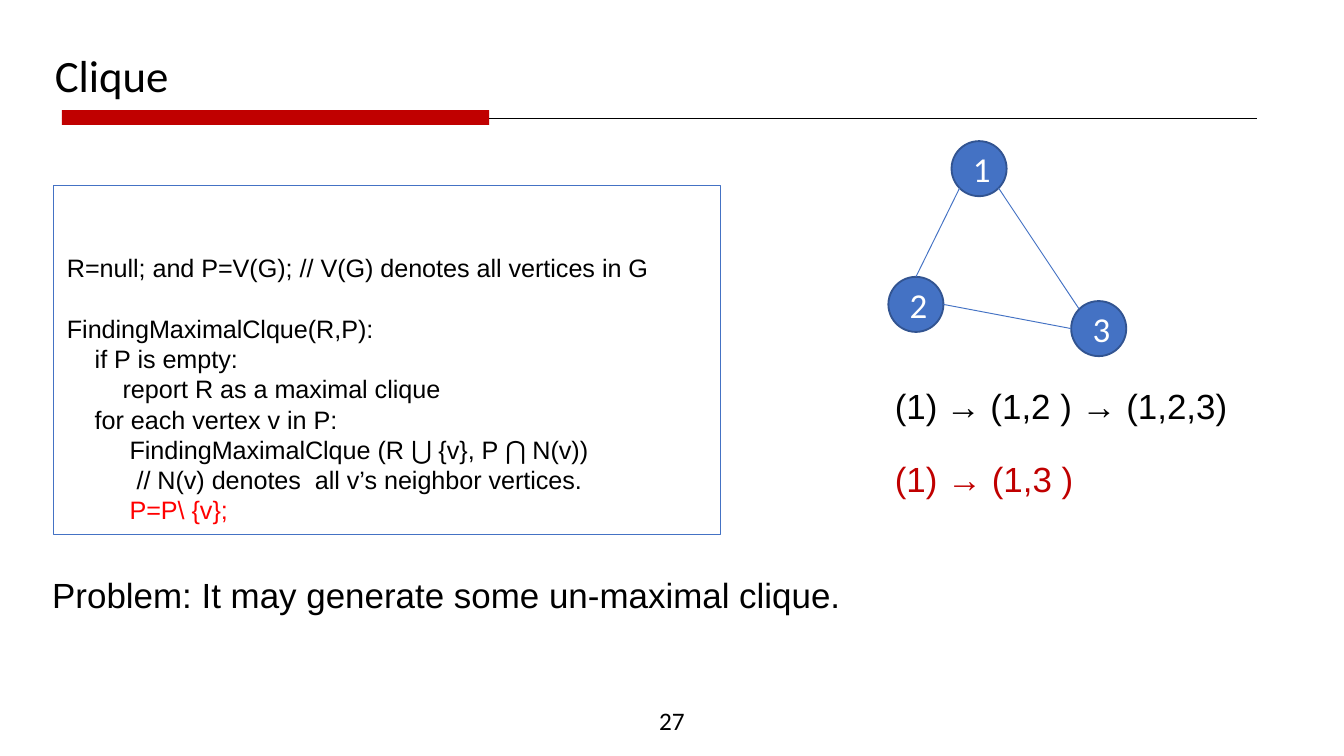
from dataclasses import dataclass
from math import cos, radians, sin

from lxml import etree
from pptx import Presentation
from pptx import util as u
from pptx.dml.color import RGBColor
from pptx.enum import shapes, text
from pptx.oxml import ns


@dataclass(frozen=True)
class Theme:
    black: str = "000000"
    white: str = "FFFFFF"
    blue: str = "4472C4"
    navy: str = "325491"
    crimson: str = "C00000"
    red: str = "FF0000"
    sans: str = "Arial"
    head: str = "Calibri"
    title: float = 24
    body: float = 18.75
    code: float = 13.5
    pitch: float = 16.2


T = Theme()


@dataclass(frozen=True)
class Line:
    words: str
    color: str = T.black
    gap: float = 0


@dataclass(frozen=True)
class Node:
    label: str
    x: float
    y: float


@dataclass(frozen=True)
class Edge:
    start: Node
    leave: float
    end: Node
    reach: float


SIZE = 0.41
ONE, TWO, THREE = Node("1", 7.08, 1.05), Node("2", 6.61, 2.06), Node("3", 7.97, 2.24)
NODES = [ONE, TWO, THREE]
# Angles run clockwise from the right-hand side
EDGES = [Edge(ONE, 135, TWO, 270), Edge(TWO, 0, THREE, 180), Edge(THREE, 225, ONE, 45)]

CODE = [
    Line("R=null; and P=V(G); // V(G) denotes all vertices in G"),
    Line("FindingMaximalClque(R,P):", gap=T.pitch),
    Line("    if P is empty:"),
    Line("        report R as a maximal clique"),
    Line("    for each vertex v in P:"),
    Line("         FindingMaximalClque (R ⋃ {v}, P ⋂ N(v))"),
    Line("          // N(v) denotes  all v’s neighbor vertices."),
    Line("         P=P\\ {v};", T.red),
]
STEPS = [Line("→ (1,2 ) → (1,2,3)"), Line("(1) → (1,3 )", T.crimson, 17)]


def rgb(code: str) -> RGBColor:
    return RGBColor.from_string(code)


def write(frame, lines: list[Line], size: float, font: str,
          align=text.PP_ALIGN.LEFT, space=None) -> None:
    frame.word_wrap = True
    for i, line in enumerate(lines):
        para = frame.add_paragraph() if i else frame.paragraphs[0]
        para.alignment = align
        if space:
            para.line_spacing = space
        if line.gap:
            para.space_before = u.Pt(line.gap)
        run = para.add_run()
        run.text = line.words
        run.font.size = u.Pt(size)
        run.font.name = font
        run.font.color.rgb = rgb(line.color)


def label(slide, box: tuple, lines: list[Line], size: float, font: str,
          anchor=text.MSO_ANCHOR.TOP, **style):
    frame = slide.shapes.add_textbox(*map(u.Inches, box)).text_frame
    frame.vertical_anchor = anchor
    write(frame, lines, size, font, **style)
    return frame


def block(slide, kind, box: tuple, fill: str = "", edge: str = "", width: float = 1):
    shape = slide.shapes.add_shape(kind, *map(u.Inches, box))
    shape.shadow.inherit = False
    if fill:
        shape.fill.solid()
        shape.fill.fore_color.rgb = rgb(fill)
    else:
        shape.fill.background()
    if edge:
        shape.line.color.rgb = rgb(edge)
        shape.line.width = u.Pt(width)
    else:
        shape.line.fill.background()
    return shape


def rule(slide, start: tuple, end: tuple, color: str) -> None:
    line = slide.shapes.add_connector(
        shapes.MSO_CONNECTOR.STRAIGHT, *map(u.Inches, start + end))
    line.line.color.rgb = rgb(color)
    line.line.width = u.Pt(0.5)
    etree.SubElement(line._element.spPr, ns.qn("a:effectLst"))


def rim(node: Node, angle: float) -> tuple:
    r = SIZE / 2
    return (node.x + r + r * cos(radians(angle)), node.y + r + r * sin(radians(angle)))


def circle(slide, node: Node) -> None:
    shape = block(slide, shapes.MSO_SHAPE.OVAL, (node.x, node.y, SIZE, SIZE), T.blue, T.navy)
    frame = shape.text_frame
    frame.margin_left, frame.margin_right = u.Inches(0.04), 0
    frame.vertical_anchor = text.MSO_ANCHOR.MIDDLE
    write(frame, [Line(node.label, T.white)], T.body, T.head, text.PP_ALIGN.CENTER)


def hang(para, number: bool) -> None:
    props = para._p.get_or_add_pPr()
    props.set("marL", str(u.Inches(0.38)))
    props.set("indent", str(-u.Inches(0.38)))
    if number:
        font = etree.SubElement(props, ns.qn("a:buFont"))
        font.set("typeface", T.sans)
        mark = etree.SubElement(props, ns.qn("a:buAutoNum"))
        mark.set("type", "arabicParenBoth")
    else:
        etree.SubElement(props, ns.qn("a:buNone"))


def main() -> None:
    deck = Presentation()
    deck.slide_width = u.Inches(10)
    deck.slide_height = u.Inches(10 * 9 / 16)
    slide = deck.slides.add_slide(deck.slide_layouts[6])
    rect = shapes.MSO_SHAPE.RECTANGLE

    # Title with its rule
    label(slide, (0.31, 0.08, 6.66, 0.73), [Line("Clique")], T.title, T.head,
          text.MSO_ANCHOR.BOTTOM, space=0.9)
    rule(slide, (0.46, 0.88), (9.35, 0.88), T.black)
    block(slide, rect, (0.46, 0.82, 3.18, 0.11), T.crimson)

    # Algorithm
    frame = block(slide, rect, (0.4, 1.38, 4.96, 2.6), edge=T.blue, width=0.75).text_frame
    frame.vertical_anchor = text.MSO_ANCHOR.TOP
    frame.margin_top = u.Inches(0.5)
    write(frame, CODE, T.code, T.sans, space=u.Pt(T.pitch))

    # Graph
    for node in NODES:
        circle(slide, node)
    for edge in EDGES:
        rule(slide, rim(edge.start, edge.leave), rim(edge.end, edge.reach), T.blue)

    # Search steps
    frame = label(slide, (6.56, 2.81, 3.04, 0.97), STEPS, T.body, T.sans)
    for i, para in enumerate(frame.paragraphs):
        hang(para, number=i == 0)

    # Problem and page number
    label(slide, (0.29, 4.22, 6.08, 0.42),
          [Line("Problem: It may generate some un-maximal clique.")], T.body, T.sans)
    label(slide, (3.31, 5.21, 3.38, 0.3), [Line("27")], T.code, T.head,
          text.MSO_ANCHOR.MIDDLE, align=text.PP_ALIGN.CENTER)

    deck.save("out.pptx")


if __name__ == "__main__":
    main()
